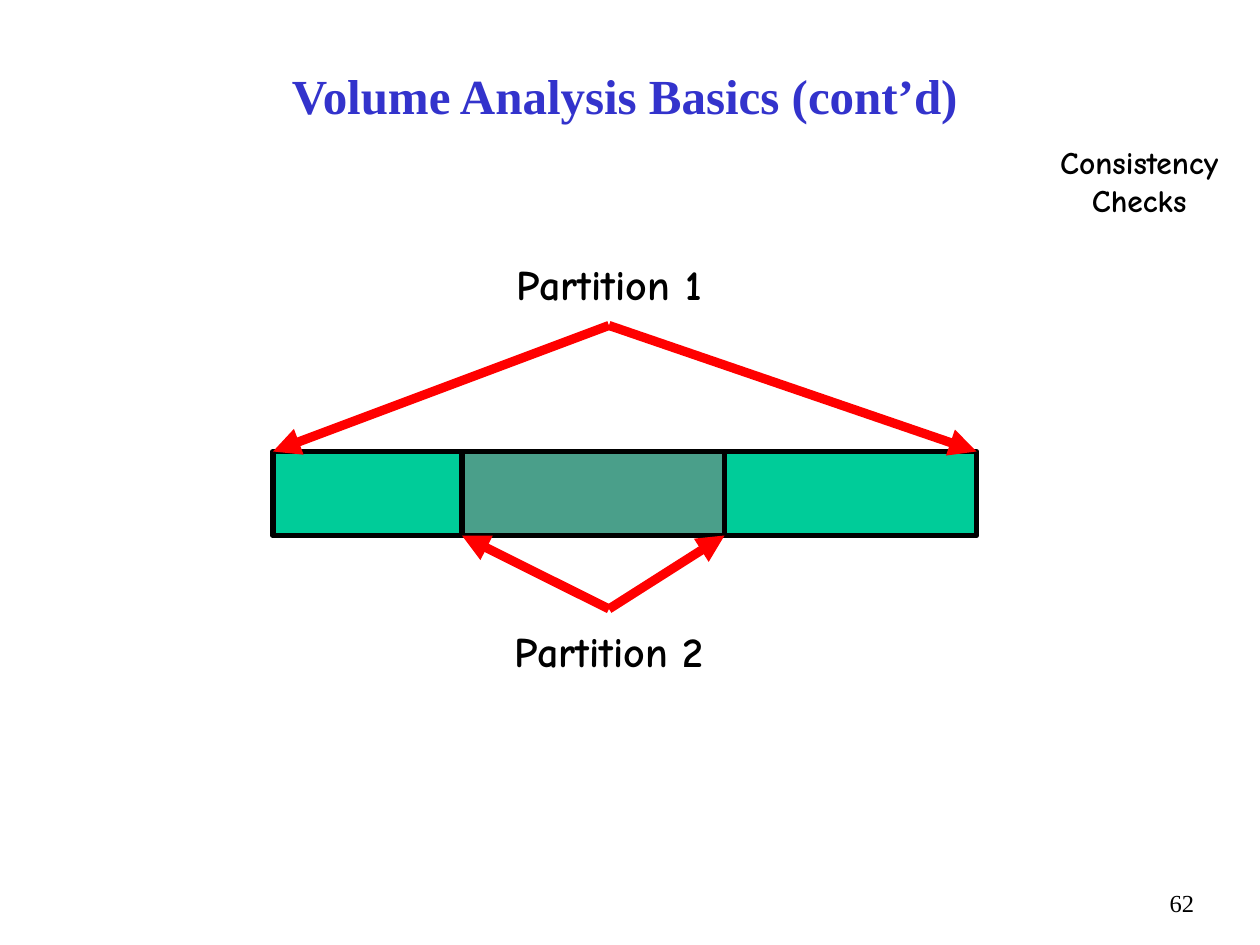
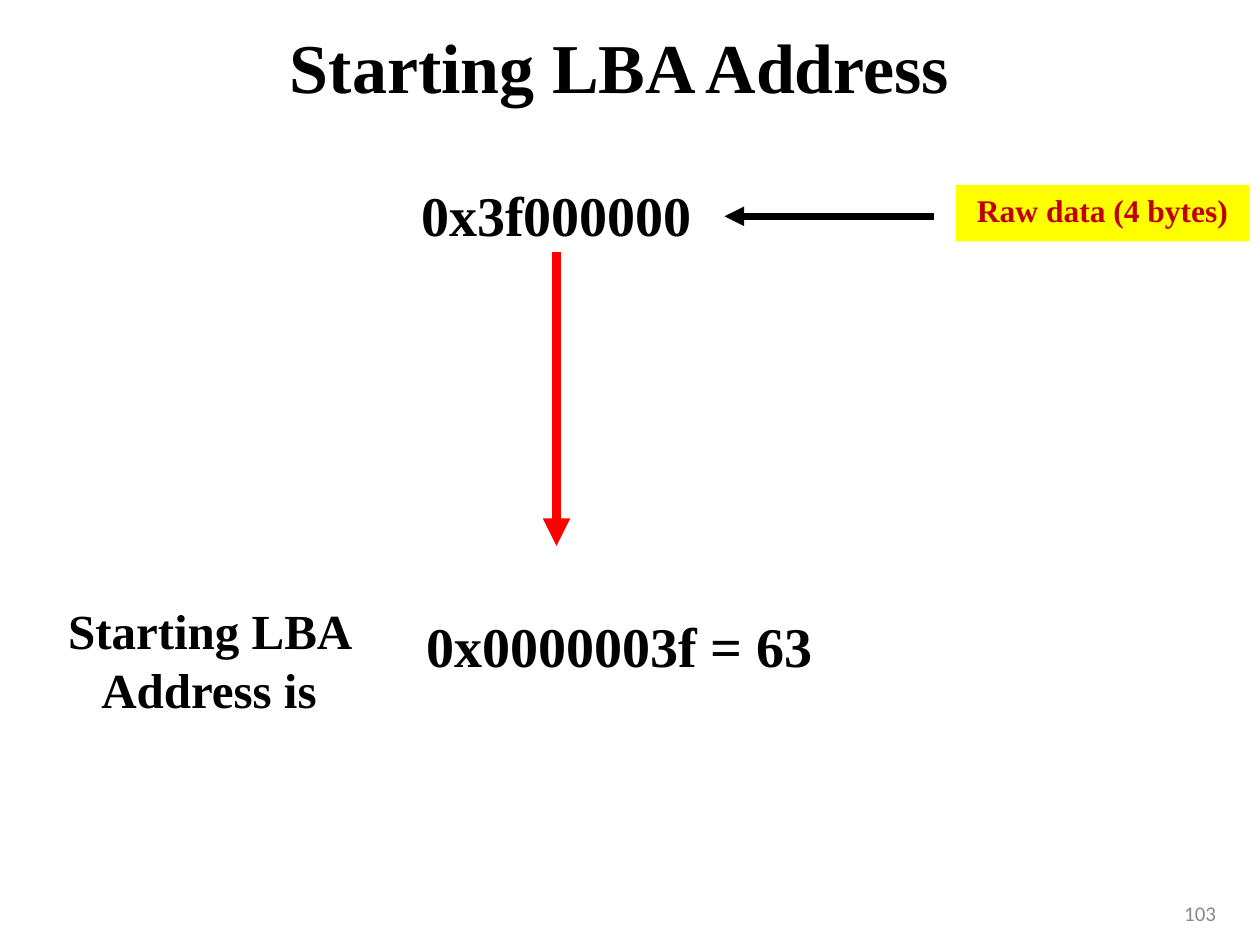
"""Build two slides on volume analysis: nested partitions and the starting LBA address."""
from lxml import etree
from pptx import Presentation
from pptx import util as u
from pptx.dml.color import RGBColor
from pptx.enum import shapes, text
from pptx.oxml.ns import qn

BLACK = RGBColor(0x00, 0x00, 0x00)
RED = RGBColor(0xFF, 0x00, 0x00)
BLUE = RGBColor(0x33, 0x33, 0xCC)
GREEN = RGBColor(0x00, 0xCC, 0x99)
GRAY = RGBColor(0x80, 0x80, 0x80)
YELLOW = RGBColor(0xFF, 0xFF, 0x00)
DARK_RED = RGBColor(0xC0, 0x00, 0x00)
PALE = RGBColor(0x89, 0x89, 0x89)
SERIF, COMIC, SANS = "Times New Roman", "Comic Neue", "Calibri"
TOP, MIDDLE = text.MSO_ANCHOR.TOP, text.MSO_ANCHOR.MIDDLE
CENTER, RIGHT = text.PP_ALIGN.CENTER, text.PP_ALIGN.RIGHT

prs = Presentation()
prs.slide_width, prs.slide_height = u.Inches(10), u.Inches(7.5)
CELL = prs.slide_width / 120


def write(sp, box, words, size, name=SERIF, color=BLACK, bold=True,
          align=CENTER, anchor=TOP, inset=0.05):
    for key, cells in zip(("left", "top", "width", "height"), box):
        setattr(sp, key, round(cells * CELL))
    tf = sp.text_frame
    frame = {"word_wrap": True, "auto_size": text.MSO_AUTO_SIZE.NONE,
             "vertical_anchor": anchor, "margin_top": u.Inches(inset)}
    for key, value in frame.items():
        setattr(tf, key, value)
    p = tf.paragraphs[0]
    p.alignment = align
    r = p.add_run()
    r.text = words
    for key, value in {"name": name, "size": u.Pt(size), "bold": bold}.items():
        setattr(r.font, key, value)
    r.font.color.rgb = color


def arrow(s, start, tip, color=RED, width=5.25):
    ends = [round(cells * CELL) for cells in (*start, *tip)]
    line = s.shapes.add_connector(shapes.MSO_CONNECTOR.STRAIGHT, *ends)
    line.line.color.rgb = color
    line.line.width = u.Pt(width)
    etree.SubElement(line.line._get_or_add_ln(), qn("a:tailEnd"), type="triangle")
    etree.SubElement(line._element.spPr, qn("a:effectLst"))


s = prs.slides.add_slide(prs.slide_layouts[5])
write(s.shapes.title, (3, 5, 113, 8), "Volume Analysis Basics (cont’d)", 28,
      color=BLUE, anchor=MIDDLE)

DISK_TOP, DISK_HEIGHT, APEX = 43, 8, 58
DISK_BOTTOM = DISK_TOP + DISK_HEIGHT
partitions = [
    ("Partition 1", 26, 93, GREEN, DISK_TOP, 31, 23),
    ("Partition 2", 44, 69, GRAY, DISK_BOTTOM, 58, 58),
]
for label, first, last, fill, edge, apex_row, label_row in partitions:
    box = [round(n * CELL) for n in (first, DISK_TOP, last - first, DISK_HEIGHT)]
    sp = s.shapes.add_shape(shapes.MSO_SHAPE.RECTANGLE, *box)
    sp.shadow.inherit = False
    sp.fill.solid()
    sp.fill.fore_color.rgb = fill
    sp.line.color.rgb = BLACK
    sp.line.width = u.Pt(3.25)
    if fill == GRAY:
        srgb = sp._element.spPr.find(qn("a:solidFill")).find(qn("a:srgbClr"))
        etree.SubElement(srgb, qn("a:alpha"), val="58000")
    write(s.shapes.add_textbox(0, 0, 0, 0), (44, label_row, 28, 8), label, 24, COMIC,
          anchor=MIDDLE)
    for corner in (first, last):
        arrow(s, (APEX, apex_row), (corner, edge))

write(s.shapes.add_textbox(0, 0, 0, 0), (97, 13, 23, 9), "Consistency Checks", 18, COMIC)
write(s.shapes.add_textbox(0, 0, 0, 0), (104.9, 84, 10, 6), "62", 14,
      bold=False, align=RIGHT)

s = prs.slides.add_slide(prs.slide_layouts[5])
write(s.shapes.title, (6, 1, 106, 8), "Starting LBA Address", 40, inset=0.1)
for box, words, size in [
    ((34.5, 16, 37, 7), "0x3f000000", 32),
    ((4.9, 56, 30, 13), "Starting LBA Address is", 28),
    ((33, 57, 52, 7), "0x0000003f = 63", 32),
]:
    write(s.shapes.add_textbox(0, 0, 0, 0), box, words, size, inset=0.1)

sp = s.shapes.add_shape(shapes.MSO_SHAPE.RECTANGLE, 0, 0, 0, 0)
sp.shadow.inherit = False
sp.fill.solid()
sp.fill.fore_color.rgb = YELLOW
sp.line.fill.background()
write(sp, (91, 17.6, 28, 5.4), "Raw data (4 bytes)", 18, color=DARK_RED)

arrow(s, (89, 20.6), (69, 20.6), BLACK, 3.75)
arrow(s, (53, 24), (53, 52))
write(s.shapes.add_textbox(0, 0, 0, 0), (89, 85.2, 28, 4.8), "103", 12, SANS, PALE,
      bold=False, align=RIGHT)

prs.save("out.pptx")
